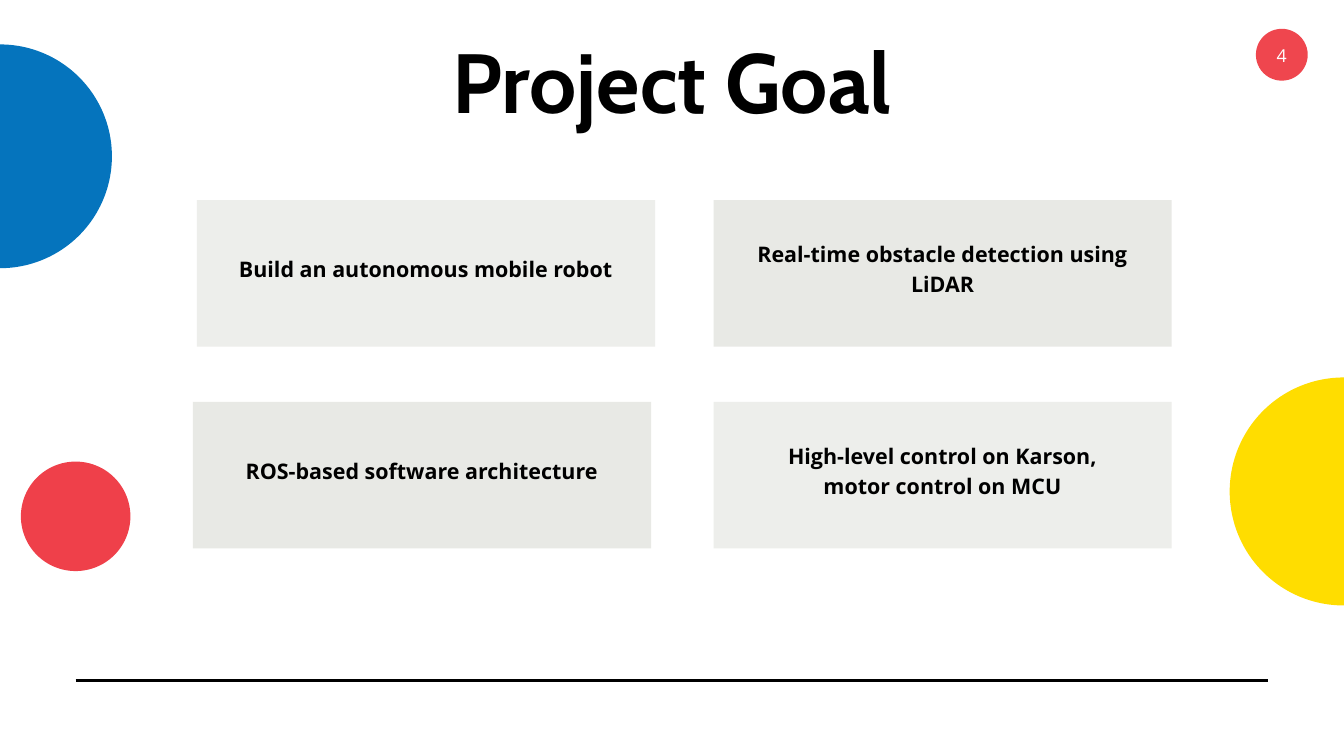
from lxml.etree import SubElement
from pptx import Presentation
from pptx.dml.color import RGBColor
from pptx.enum.shapes import MSO_CONNECTOR as Connector, MSO_SHAPE as Preset
from pptx.enum.text import MSO_ANCHOR as Anchor, MSO_AUTO_SIZE as AutoSize, PP_ALIGN as Align
from pptx.oxml.ns import qn
from pptx.util import Cm, Pt

COLORS = {
    "black": "000000",
    "white": "FFFFFF",
    "blue": "0574BD",
    "yellow": "FFDD00",
    "red": "EF404A",
    "badge": "EF464E",
    "light": "EDEEEB",
    "dark": "E8E9E5",
}
TITLE_FONT = {"name": "Cabin", "size": Pt(90), "bold": True}
GOAL_FONT = {"name": "Open Sans", "size": Pt(23), "bold": True}
NUMBER_FONT = {"name": "Open Sans", "size": Pt(19), "bold": False}

CARD_WIDTH, CARD_HEIGHT = 17.32, 5.54
ROW_TOPS = (7.57, 15.19)
RIGHT_COLUMN = 26.97
GOALS = [
    (7.44, ROW_TOPS[0], "light", ["Build an autonomous mobile robot"]),
    (RIGHT_COLUMN, ROW_TOPS[0], "dark", ["Real-time obstacle detection using", "LiDAR"]),
    (7.29, ROW_TOPS[1], "dark", ["ROS-based software architecture"]),
    (RIGHT_COLUMN, ROW_TOPS[1], "light", ["High-level control on Karson,", "motor control on MCU"]),
]
CIRCLES = [
    (-4.23, 1.68, 8.46, "blue"),
    (46.48, 14.27, 8.62, "yellow"),
    (0.79, 17.45, 4.14, "red"),
]


def rgb(color):
    return RGBColor.from_string(COLORS[color])


def apply_format(target, values):
    for attribute, value in values.items():
        setattr(target, attribute, value)


def write_text(shape, lines, font, color, spacing, anchor, side=0, bottom=0):
    frame = shape.text_frame
    apply_format(frame, {
        "text": "\n".join(lines),
        "word_wrap": True,
        "auto_size": AutoSize.NONE,
        "vertical_anchor": anchor,
        "margin_left": Cm(side),
        "margin_right": Cm(side),
        "margin_top": Cm(side),
        "margin_bottom": Cm(bottom),
    })
    for paragraph in frame.paragraphs:
        apply_format(paragraph, {
            "alignment": Align.CENTER,
            "line_spacing": Pt(spacing),
            "space_before": Pt(0),
        })
        for run in paragraph.runs:
            apply_format(run.font, font)
            run.font.color.rgb = rgb(color)


def add_filled(slide, preset, left, top, width, height, color):
    shape = slide.shapes.add_shape(preset, Cm(left), Cm(top), Cm(width), Cm(height))
    shape.shadow.inherit = False
    shape.fill.solid()
    shape.fill.fore_color.rgb = rgb(color)
    shape.line.fill.background()
    return shape


def add_circle(slide, left, top, diameter, color):
    return add_filled(slide, Preset.OVAL, left, top, diameter, diameter, color)


def add_goal(slide, left, top, color, lines):
    card = add_filled(slide, Preset.RECTANGLE, left, top, CARD_WIDTH, CARD_HEIGHT, color)
    write_text(card, lines, GOAL_FONT, "black", 32.2, Anchor.MIDDLE, side=0.15, bottom=0.66)


def add_footer_rule(slide):
    rule = slide.shapes.add_connector(
        Connector.STRAIGHT, Cm(2.86), Cm(25.72), Cm(47.94), Cm(25.72))
    rule.line.width = Pt(3)
    rule.line.color.rgb = rgb("black")
    SubElement(rule._element.spPr, qn("a:effectLst"))


def set_title(slide, text):
    title = slide.shapes.title
    apply_format(title, {
        "left": Cm(11.79), "top": Cm(0.48), "width": Cm(27.23), "height": Cm(4.29),
    })
    write_text(title, [text], TITLE_FONT, "black", 126, Anchor.TOP)


def add_page_badge(slide, number):
    badge = add_circle(slide, 47.47, 1.09, 1.96, "badge")
    write_text(badge, [number], NUMBER_FONT, "white", 26.6, Anchor.MIDDLE, bottom=0.05)


def main():
    deck = Presentation()
    apply_format(deck, {"slide_width": Cm(50.8), "slide_height": Cm(28.58)})
    slide = deck.slides.add_slide(deck.slide_layouts[5])
    add_footer_rule(slide)
    for circle in CIRCLES:
        add_circle(slide, *circle)
    set_title(slide, "Project Goal")
    for goal in GOALS:
        add_goal(slide, *goal)
    add_page_badge(slide, "4")
    deck.save("out.pptx")


if __name__ == "__main__":
    main()
